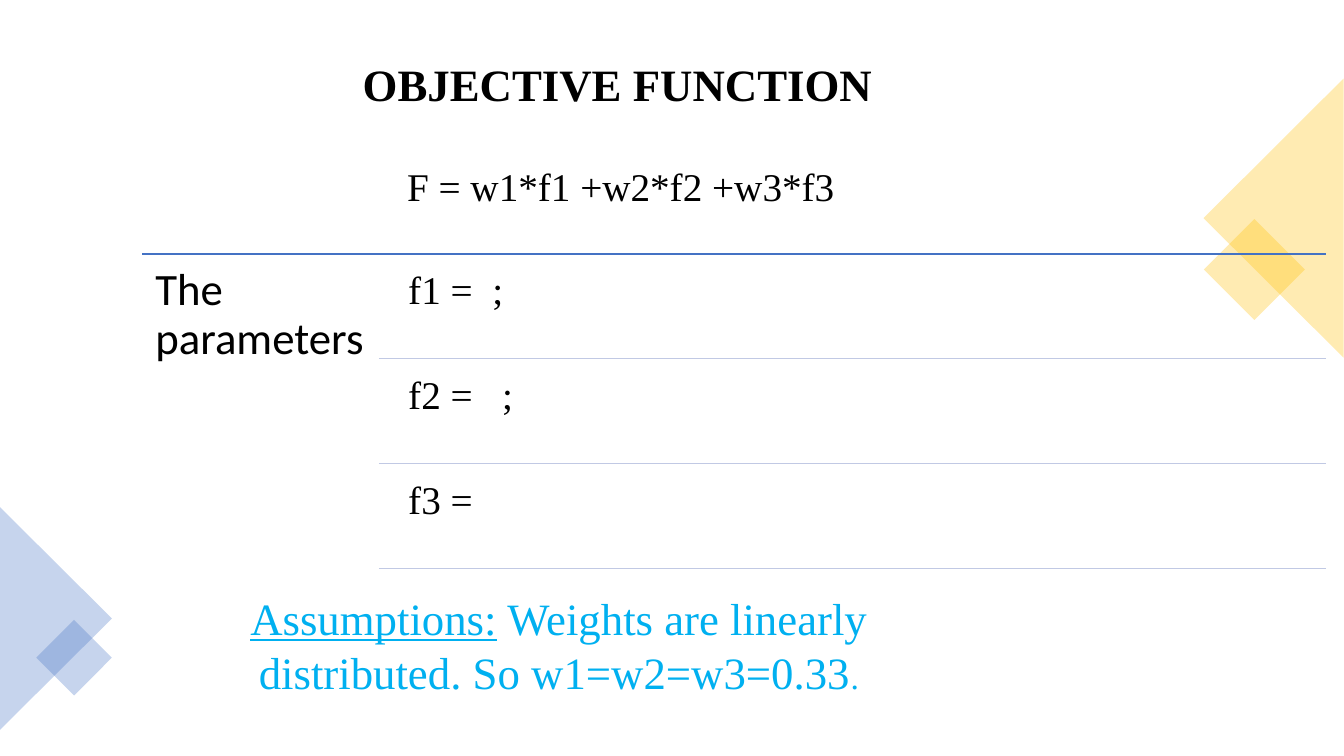
"""Build the objective function slide."""
from typing import NamedTuple

import pptx
import pptx.dml.color
import pptx.enum.shapes
import pptx.enum.text
import pptx.oxml.ns
import pptx.util
from lxml import etree

Pt = pptx.util.Pt
qn = pptx.oxml.ns.qn
MSO = pptx.enum.shapes.MSO_SHAPE
ALIGN = pptx.enum.text.PP_ALIGN
COLORS = {"gold": "FFC000", "blue": "4472C4", "pale": "C1C9E4", "sky": "00B0F0", "black": "000000"}
SERIF = "Times New Roman"
RULE_TOP, ROW_PITCH = 181.4, 74.9
RULE_LEFT, ROW_LEFT, RULE_RIGHT = 101.5, 270.7, 946.8


class Decor(NamedTuple):
    kind: int
    left: float
    top: float
    width: float
    height: float
    rotation: float
    color: str


class Run(NamedTuple):
    text: str
    size: float = 32
    font: str = SERIF
    color: str = "black"
    bold: bool = False
    underline: bool = False


class Label(NamedTuple):
    left: float
    top: float
    width: float
    height: float
    runs: list[Run]
    spacing: float = 1.0
    align: int = ALIGN.LEFT
    inset: tuple[float, float] = (7.2, 3.6)


def rgb(name: str) -> pptx.dml.color.RGBColor:
    return pptx.dml.color.RGBColor.from_string(COLORS[name])


def set_attrs(obj: object, values: dict) -> None:
    for name, value in values.items():
        setattr(obj, name, value)


def add_decor(s, d: Decor) -> None:
    sp = s.shapes.add_shape(d.kind, Pt(d.left), Pt(d.top), Pt(d.width), Pt(d.height))
    sp.rotation = d.rotation
    sp.shadow.inherit = False
    sp.fill.solid()
    sp.fill.fore_color.rgb = rgb(d.color)
    sp.line.fill.background()
    clr = next(sp.fill._xPr.iter(qn("a:srgbClr")))
    etree.SubElement(clr, qn("a:alpha")).set("val", "30000")


def add_rule(s, left: float, y: float, color: str) -> None:
    cn = s.shapes.add_connector(pptx.enum.shapes.MSO_CONNECTOR.STRAIGHT, Pt(left), Pt(y), Pt(RULE_RIGHT), Pt(y))
    set_attrs(cn.line, {"width": Pt(1)})
    cn.line.color.rgb = rgb(color)
    etree.SubElement(cn._element.spPr, qn("a:effectLst"))


def add_label(s, b: Label) -> None:
    tf = s.shapes.add_textbox(Pt(b.left), Pt(b.top), Pt(b.width), Pt(b.height)).text_frame
    x, y = map(Pt, b.inset)
    set_attrs(tf, {"word_wrap": True, "margin_left": x, "margin_right": x, "margin_top": y, "margin_bottom": y})
    p = tf.paragraphs[0]
    set_attrs(p, {"alignment": b.align, "line_spacing": b.spacing})
    for run in b.runs:
        r = p.add_run()
        r.text = run.text
        set_attrs(r.font, {"name": run.font, "size": Pt(run.size), "bold": run.bold, "underline": run.underline})
        r.font.color.rgb = rgb(run.color)


DECOR = [
    Decor(MSO.RECTANGLE, 870.5, 167, 51, 51, 45, "gold"),
    Decor(MSO.ISOSCELES_TRIANGLE, 810, 105.8, 199.4, 100, 270, "gold"),
    Decor(MSO.ISOSCELES_TRIANGLE, -39.6, 401.8, 159.1, 80, 90, "blue"),
    Decor(MSO.RECTANGLE, 33.8, 450.7, 38.2, 38.2, 45, "blue"),
]
PARAMETERS = ["f1 =  ;", "f2 =   ; ", "f3 = "]
LABELS = [
    Label(RULE_LEFT, RULE_TOP, 170, 227.5, [Run("The parameters", font="Calibri")], 0.9, inset=(9.4, 9.4)),
    Label(252, 36.7, 482.4, 46, [Run("OBJECTIVE FUNCTION", bold=True)]),
    Label(283.7, 110.2, 480.2, 41, [Run("F = w1*f1 +w2*f2 +w3*f3", 28)], 1.07),
    Label(159.1, 418.3, 480.2, 85, [
        Run("Assumptions:", color="sky", underline=True),
        Run(" Weights are linearly distributed. So w1=w2=w3=0.33", color="sky"),
        Run(".", 24, color="sky"),
    ], align=ALIGN.CENTER),
]

prs = pptx.Presentation()
set_attrs(prs, {"slide_width": Pt(960), "slide_height": Pt(540)})
s = prs.slides.add_slide(prs.slide_layouts[6])
for decor in DECOR:
    add_decor(s, decor)
add_rule(s, RULE_LEFT, RULE_TOP, "blue")
for i, text in enumerate(PARAMETERS):
    top = RULE_TOP + i * ROW_PITCH
    add_label(s, Label(283, top + 3.6, 663.1, 71.3, [Run(text, 28)], 0.9, inset=(8.6, 8.6)))
    add_rule(s, ROW_LEFT, top + ROW_PITCH, "pale")
for label in LABELS:
    add_label(s, label)
prs.save("out.pptx")
